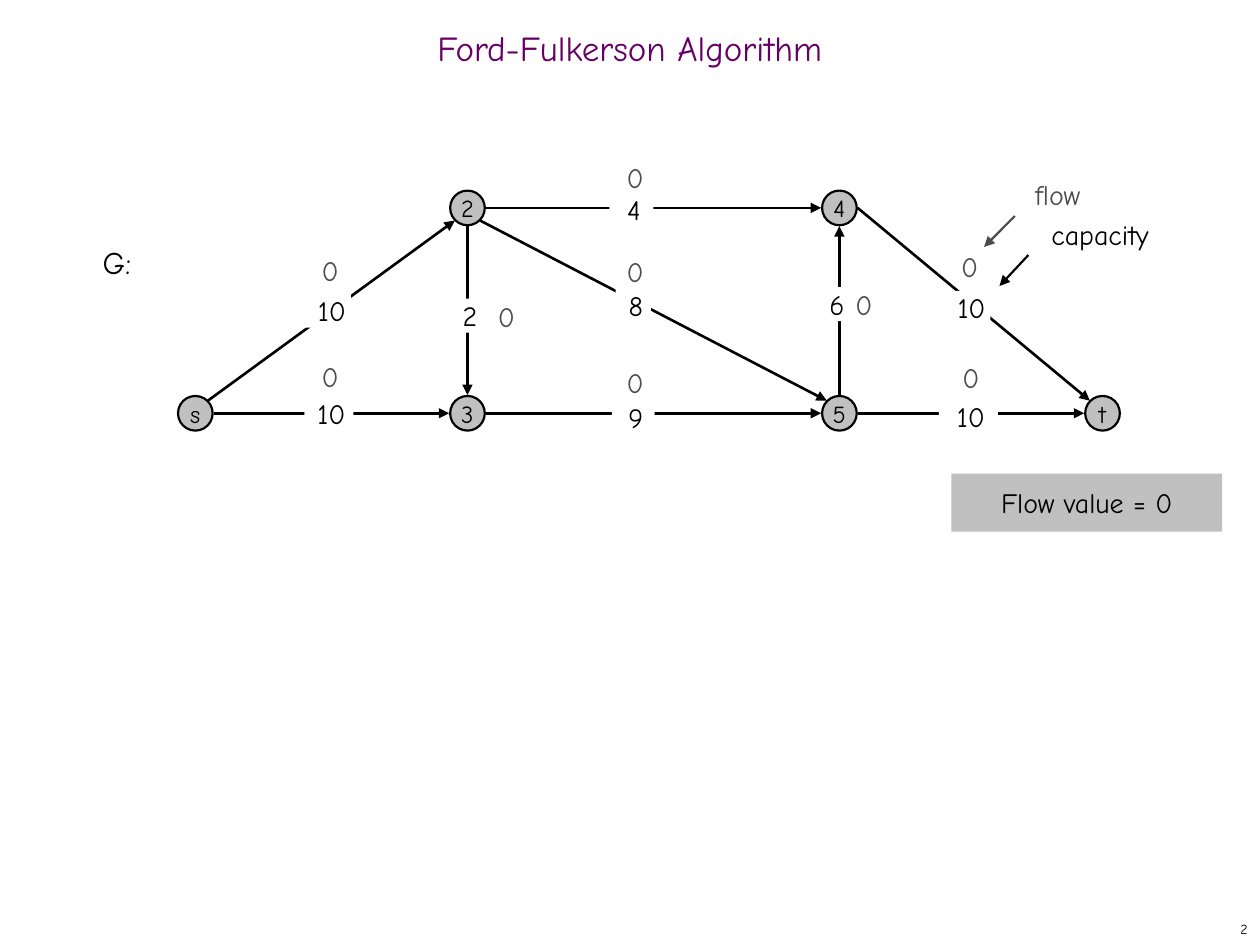
from dataclasses import dataclass

from lxml import etree
from pptx import Presentation
from pptx.dml.color import RGBColor
from pptx.enum.shapes import MSO_CONNECTOR, MSO_SHAPE
from pptx.enum.text import MSO_ANCHOR, PP_ALIGN
from pptx.oxml.ns import qn
from pptx.util import Inches, Pt

STRAIGHT = MSO_CONNECTOR.STRAIGHT
OVAL, RECTANGLE = MSO_SHAPE.OVAL, MSO_SHAPE.RECTANGLE
TOP, MIDDLE = MSO_ANCHOR.TOP, MSO_ANCHOR.MIDDLE
LEFT, CENTER, RIGHT = PP_ALIGN.LEFT, PP_ALIGN.CENTER, PP_ALIGN.RIGHT

COLUMNS, ROWS = 100, 75
CELL = Inches(0.1)


@dataclass(frozen=True)
class Theme:
    font: str = "Comic Neue"
    ink: str = "000000"
    paper: str = "FFFFFF"
    flow: str = "4D4D4D"
    gray: str = "C0C0C0"
    title: str = "660066"
    title_size: int = 20
    graph_size: int = 18
    label_size: int = 16
    node_size: int = 14
    number_size: int = 8
    edge_width: float = 1.5
    thin_width: float = 1.25


@dataclass(frozen=True)
class Box:
    """A region in grid columns and rows."""
    left: float
    top: float
    width: float
    height: float

    def emu(self):
        return [round(n * CELL) for n in (self.left, self.top, self.width, self.height)]

    def point(self, across, down):
        return self.left + across * self.width, self.top + down * self.height


THEME = Theme()

# Node: share of the network's width and height
NODES = {"s": (0, 1), "2": (0.3, 0), "3": (0.3, 1),
         "4": (0.71, 0), "5": (0.71, 1), "t": (1, 1)}
NODE_SIZE = 2.75
SIDE, CORNER = 1.45, 1.0  # distance from a node's centre to where an edge meets it

# Start, exit direction, end, entry direction, capacity, width of its label,
# label indent, then offsets of capacity and flow from the edge's middle
EDGES = [
    ("s", (1, -1), "2", (-1, 1), "10", 4.6, 1.6, (-0.75, 0), (-0.1, -3.6)),
    ("s", (1, 0), "3", (-1, 0), "10", 3.9, 0.4, (-0.2, 0), (-0.1, -3.35)),
    ("3", (1, 0), "5", (-1, 0), "9", 3.4, 0.4, (-1.6, 0.35), (-1.45, -2.85)),
    ("2", (1, 0), "4", (-1, 0), "4", 3.5, 0.4, (-1.75, 0.15), (-1.45, -2.85)),
    ("2", (0, 1), "3", (0, -1), "2", 4.7, 0.4, (0, 0.4), (3.1, 0.1)),
    ("5", (0, -1), "4", (0, 1), "6", 4.6, 0.4, (-0.4, -0.5), (1.95, -0.9)),
    ("2", (1, 1), "5", (-1, -1), "8", 2.8, 0.4, (-1.6, -0.4), (-1.45, -3.5)),
    ("4", (1, 0), "t", (-1, -1), "10", 4.6, 1.6, (-0.75, -0.2), (-0.1, -3.9)),
    ("5", (1, 0), "t", (-1, 0), "10", 4.7, 0.4, (-0.2, 0.25), (0, -3.25)),
]


def rgb(color):
    return RGBColor.from_string(color)


def around(center, width, height):
    return Box(center[0] - width / 2, center[1] - height / 2, width, height)


def add_text(slide, box, text, size, color=THEME.ink, align=CENTER, anchor=TOP,
             margins=(0, 0, 0, 0), before=0, wrap=True, preset=None, fill=None, outline=None):
    """Place one line of text, in a preset shape if one is given."""
    if preset is None:
        shape = slide.shapes.add_textbox(*box.emu())
    else:
        shape = slide.shapes.add_shape(preset, *box.emu())
        shape.shadow.inherit = False
        shape.fill.solid()
        shape.fill.fore_color.rgb = rgb(fill)
        if outline:
            shape.line.color.rgb = rgb(outline)
            shape.line.width = Pt(THEME.thin_width)
        else:
            shape.line.fill.background()
    frame = shape.text_frame
    frame.word_wrap = wrap
    frame.vertical_anchor = anchor
    (frame.margin_left, frame.margin_top,
     frame.margin_right, frame.margin_bottom) = [round(m * CELL) for m in margins]
    paragraph = frame.paragraphs[0]
    paragraph.alignment = align
    if before:
        paragraph.space_before = Pt(before)
    run = paragraph.add_run()
    run.text = text
    run.font.name = THEME.font
    run.font.size = Pt(size)
    run.font.color.rgb = rgb(color)
    return paragraph


def add_arrow(slide, start, end, color, width):
    arrow = slide.shapes.add_connector(STRAIGHT, *[round(n * CELL) for n in (*start, *end)])
    arrow.line.color.rgb = rgb(color)
    arrow.line.width = Pt(width)
    etree.SubElement(arrow.line._get_or_add_ln(), qn("a:tailEnd"), type="triangle")
    etree.SubElement(arrow._element.spPr, qn("a:effectLst"))


def add_title(slide, box):
    paragraph = add_text(slide, box, "Ford-Fulkerson Algorithm", THEME.title_size,
                         THEME.title, anchor=MIDDLE, margins=(1, 0.5, 1, 0.5))
    paragraph.line_spacing = 0.7


def add_page_number(slide, box):
    add_text(slide, box, "2", THEME.number_size, align=RIGHT, anchor=MIDDLE,
             margins=(1, 0.5, 1, 0.5))


def add_network(slide, box):
    centers = {name: box.point(*share) for name, share in NODES.items()}

    def port(name, direction):
        reach = CORNER if all(direction) else SIDE
        return tuple(c + reach * d for c, d in zip(centers[name], direction))

    for start, leave, end, enter, *_ in EDGES:
        add_arrow(slide, port(start, leave), port(end, enter), THEME.ink, THEME.edge_width)
    for name, center in centers.items():
        add_text(slide, around(center, NODE_SIZE, NODE_SIZE), name, THEME.node_size,
                 anchor=MIDDLE, wrap=False, preset=OVAL, fill=THEME.gray, outline=THEME.ink)
    for start, _, end, _, capacity, width, indent, capacity_shift, flow_shift in EDGES:
        middle = [(a + b) / 2 for a, b in zip(centers[start], centers[end])]
        capacity_at, flow_at = ([m + s for m, s in zip(middle, shift)]
                                for shift in (capacity_shift, flow_shift))
        add_text(slide, around(capacity_at, width, 2.7), capacity, THEME.label_size,
                 margins=(indent, 0, 0, 0), before=10, preset=RECTANGLE, fill=THEME.paper)
        add_text(slide, around(flow_at, 3.7, 1.9), "0", THEME.label_size, THEME.flow, before=10)


def add_graph_name(slide, box):
    add_text(slide, box, "G:", THEME.graph_size, align=LEFT, margins=(0.75, 0, 0, 0),
             before=11.2, preset=RECTANGLE, fill=THEME.paper)


def add_legend(slide, box):
    entries = [
        ("flow", THEME.flow, (0.15, 0), 7.1, (0.16, 0.39), (0, 0.66)),
        ("capacity", THEME.ink, (0.2, 0.35), 12.3, (0.23, 0.73), (0.08, 1)),
    ]
    for word, color, corner, width, start, end in entries:
        add_text(slide, Box(*box.point(*corner), width, 3.7), word, THEME.label_size, color,
                 margins=(1, 0.5, 1, 0.5), before=10)
        add_arrow(slide, box.point(*start), box.point(*end), color, THEME.thin_width)


def add_flow_value(slide, box):
    add_text(slide, box, "Flow value = 0", THEME.label_size, anchor=MIDDLE,
             margins=(1, 1.5, 1, 1.5), before=10, preset=RECTANGLE, fill=THEME.gray)


def main():
    deck = Presentation()
    deck.slide_width, deck.slide_height = COLUMNS * CELL, ROWS * CELL
    slide = deck.slides.add_slide(deck.slide_layouts[6])
    add_page_number(slide, Box(79.2, 72.5, 20.8, 2.5))
    add_title(slide, Box(0, 1.7, COLUMNS, 5))
    add_network(slide, Box(15.5, 16.5, 72, 16.3))
    add_graph_name(slide, Box(7.4, 19.3, 4.8, 3))
    add_flow_value(slide, Box(75.5, 37.6, 21.5, 4.6))
    add_legend(slide, Box(78.1, 13.6, 15.3, 9.1))
    deck.save("out.pptx")


if __name__ == "__main__":
    main()
